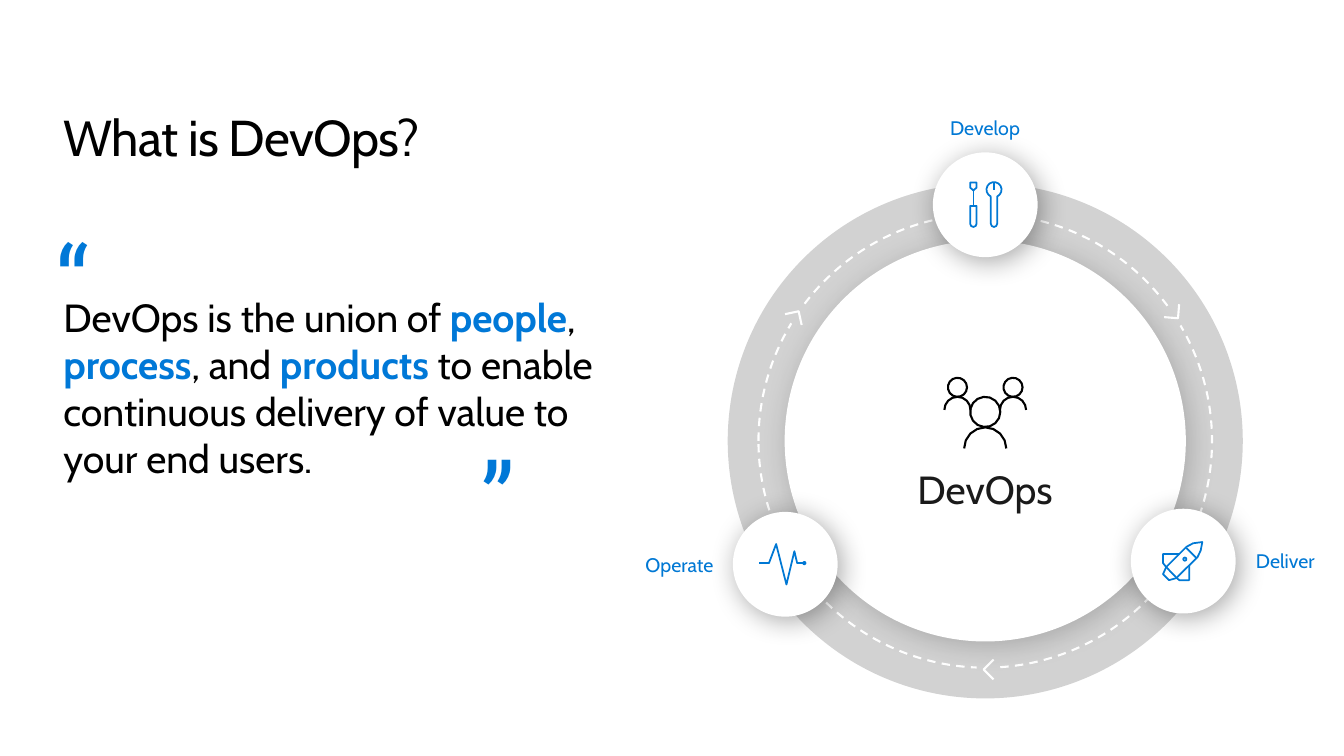
"""Build the "What is DevOps?" slide with its three-stage cycle."""
from math import cos, radians, sin

from lxml import etree
from pptx import Presentation
from pptx.dml.color import RGBColor
from pptx.enum.dml import MSO_LINE
from pptx.enum.shapes import MSO_SHAPE
from pptx.enum.text import MSO_ANCHOR, MSO_AUTO_SIZE, PP_ALIGN
from pptx.oxml.ns import qn
from pptx.util import Cm, Pt

OVAL, RECTANGLE = MSO_SHAPE.OVAL, MSO_SHAPE.RECTANGLE
TOP, MIDDLE, BOTTOM = MSO_ANCHOR.TOP, MSO_ANCHOR.MIDDLE, MSO_ANCHOR.BOTTOM
LEFT, CENTER, RIGHT = PP_ALIGN.LEFT, PP_ALIGN.CENTER, PP_ALIGN.RIGHT
GROW = MSO_AUTO_SIZE.SHAPE_TO_FIT_TEXT
BLACK, WHITE, GREY, INK = "000000", "FFFFFF", "D2D2D2", "1A1A1A"
LABEL_BLUE, QUOTE_BLUE = "0078D4", "0078D7"
SANS, SLAB = "Cabin", "Roboto Slab"
LABEL_INSETS = (0.51, 0.41)
QUOTE_INSETS = (0.25, 0.13)


def arc(x, y, radius, start=0, sweep=360):
    steps = round(sweep / (24 if radius > 0.1 else 45))
    angles = [radians(start + sweep * i / steps) for i in range(steps + 1)]
    return [(x + radius * cos(a), y + radius * sin(a)) for a in angles]


TITLE = "What is DevOps?"
DEFINITION = [
    ("DevOps is the union of ", False), ("people", True), (", ", False),
    ("process", True), (", and ", False), ("products", True),
    (" to enable continuous delivery of value to your end users.", False),
]
QUOTE_MARKS = [("“", (1.17, 5.47, 2.18, 3.05)), ("”", (11.89, 10.92, 2.16, 3.0))]

RING_CENTER = (24.83, 11.11)
RING_SIZE, TRACK_SIZE, HUB_SIZE, STAGE_SIZE = 12.98, 11.43, 10.11, 2.64
CHEVRONS = [((29.63, 7.95), 229.4), ((20.08, 7.92), 122.8), ((24.88, 16.87), 0)]
CHEVRON_TIP, CHEVRON_WING = 0.09, 0.25

TOOLS = [
    arc(0.22, -0.38, 0.19, 115, 310) + arc(0.22, 0.48, 0.08, 0, 180) + [(0.14, -0.21)],
    [(-0.38, 0.03), (-0.22, 0.03)] + arc(-0.3, 0.48, 0.08, 0, 180) + [(-0.38, 0.03)],
    [(-0.38, -0.56), (-0.22, -0.56), (-0.22, -0.43), (-0.3, -0.36),
     (-0.38, -0.43), (-0.38, -0.56)],
    [(-0.3, -0.36), (-0.3, 0.03)],
    [(0.22, -0.56), (0.22, -0.38)],
]
PULSE = [
    [(-0.66, -0.03), (-0.41, -0.03), (-0.23, -0.51), (0.03, 0.51),
     (0.23, -0.33), (0.3, -0.03), (0.46, -0.03)],
    arc(0.48, -0.03, 0.03),
]
ROCKET = [
    [(0.48, -0.48), (0.44, -0.27), (0.36, -0.1), (-0.18, 0.43), (-0.36, 0.48),
     (-0.51, 0.33), (-0.43, 0.15), (0.08, -0.36), (0.25, -0.45), (0.48, -0.48)],
    [(0.08, -0.33), (0.33, -0.08)],
    [(-0.1, -0.18), (-0.51, -0.18), (-0.51, 0.05), (-0.43, 0.15)],
    [(-0.43, 0.15), (-0.18, 0.41), (-0.1, 0.48), (0.15, 0.48), (0.15, 0.1)],
    arc(0.04, -0.05, 0.04),
]
PEOPLE_CENTER = (24.83, 10.41)
PEOPLE = [arc(0, -0.03, 0.38), arc(0, 0.89, 0.53, 180, 180)]
for side in (-0.7, 0.7):
    PEOPLE += [arc(side, -0.65, 0.24), arc(side, -0.08, 0.33, 180, 180)]

STAGES = [
    ((24.83, 5.16), TOOLS, "Develop", (23.01, 2.84, 3.63, 0.76), CENTER),
    ((19.79, 14.22), PULSE, "Operate", (15.39, 13.84, 3.1, 0.76), RIGHT),
    ((29.82, 14.14), ROCKET, "Deliver", (31.14, 13.75, 3.63, 0.76), LEFT),
]


def color(hex_text):
    return RGBColor.from_string(hex_text)


def style(shape, fill=None, line=None, width=1.5):
    shape.shadow.inherit = False
    if fill:
        shape.fill.solid()
        shape.fill.fore_color.rgb = color(fill)
    else:
        shape.fill.background()
    if line:
        shape.line.color.rgb = color(line)
        shape.line.width = Pt(width)
    else:
        shape.line.fill.background()
    return shape


def add_centered(page, kind, center, width, height, **look):
    x, y = center
    shape = page.shapes.add_shape(
        kind, Cm(x - width / 2), Cm(y - height / 2), Cm(width), Cm(height))
    return style(shape, **look)


def add_disc(page, center, size, **look):
    return add_centered(page, OVAL, center, size, size, **look)


def add_shadow(shape, opacity):
    effects = shape._element.spPr.find(qn("a:effectLst"))
    shadow = etree.SubElement(
        effects, qn("a:outerShdw"), blurRad=str(Pt(20)), dist=str(Pt(4)),
        dir=str(45 * 60000), algn="tl", rotWithShape="0")
    tint = etree.SubElement(shadow, qn("a:srgbClr"), val=BLACK)
    etree.SubElement(tint, qn("a:alpha"), val=str(opacity * 1000))


def add_outline(page, center, contours, **look):
    builder = None
    for contour in contours:
        points = [(Cm(center[0] + x), Cm(center[1] + y)) for x, y in contour]
        if builder is None:
            builder = page.shapes.build_freeform(*points[0])
        else:
            builder.move_to(*points[0])
        builder.add_line_segments(points[1:], close=False)
    return style(builder.convert_to_shape(), **look)


def add_text(page, place, spans, size, ink, font=SANS, anchor=TOP, align=LEFT,
             insets=(0, 0), wrap=False, grow=False, spacing=None):
    box = page.shapes.add_textbox(*[Cm(value) for value in place])
    frame = box.text_frame
    frame.word_wrap = wrap
    frame.vertical_anchor = anchor
    frame.margin_left = frame.margin_right = Cm(insets[0])
    frame.margin_top = frame.margin_bottom = Cm(insets[1])
    if grow:
        frame.auto_size = GROW
    para = frame.paragraphs[0]
    para.alignment = align
    para.font.name = font
    para.font.size = Pt(size)
    para.font.color.rgb = color(ink)
    for text, strong in spans:
        span = para.add_run()
        span.text = text
        if strong:
            span.font.bold = True
            span.font.color.rgb = color(QUOTE_BLUE)
        if spacing:
            span._r.get_or_add_rPr().set("spc", str(spacing))


def add_chevron(page, center, turn):
    add_centered(page, RECTANGLE, center, 0.53, 0.51, fill=GREY).rotation = turn
    ahead_x, ahead_y = -cos(radians(turn)), -sin(radians(turn))
    back = CHEVRON_TIP - CHEVRON_WING
    corners = [(back, CHEVRON_WING), (CHEVRON_TIP, 0), (back, -CHEVRON_WING)]
    points = [(f * ahead_x - s * ahead_y, f * ahead_y + s * ahead_x)
              for f, s in corners]
    add_outline(page, center, [points], fill=GREY, line=WHITE)


def main():
    deck = Presentation()
    deck.slide_width, deck.slide_height = Cm(33.87), Cm(19.05)
    page = deck.slides.add_slide(deck.slide_layouts[6])

    add_text(page, (1.6, 2.65, 15.34, 1.55), [(TITLE, False)], 36, BLACK,
             anchor=BOTTOM, wrap=True, grow=True, spacing=-50)

    add_disc(page, RING_CENTER, RING_SIZE, fill=GREY)
    track = add_disc(page, RING_CENTER, TRACK_SIZE, line=WHITE)
    track.line.dash_style = MSO_LINE.DASH
    for center, turn in CHEVRONS:
        add_chevron(page, center, turn)
    add_shadow(add_disc(page, RING_CENTER, HUB_SIZE, fill=WHITE), 19)
    add_outline(page, PEOPLE_CENTER, PEOPLE, line=BLACK)
    add_text(page, (23.01, 11.94, 3.63, 0.76), [("DevOps", False)], 28, INK,
             anchor=MIDDLE, align=CENTER)

    for center, icon, name, place, align in STAGES:
        add_shadow(add_disc(page, center, STAGE_SIZE, fill=WHITE), 35)
        add_outline(page, center, icon, line=LABEL_BLUE, width=1.25)
        add_text(page, place, [(name, False)], 14, LABEL_BLUE, anchor=MIDDLE,
                 align=align, insets=LABEL_INSETS)

    add_text(page, (1.6, 7.39, 14.15, 7.21), DEFINITION, 28, BLACK,
             wrap=True, grow=True)
    for mark, place in QUOTE_MARKS:
        add_text(page, place, [(mark, False)], 64, QUOTE_BLUE, font=SLAB,
                 insets=QUOTE_INSETS, grow=True, spacing=-10)
    deck.save("out.pptx")


if __name__ == "__main__":
    main()
